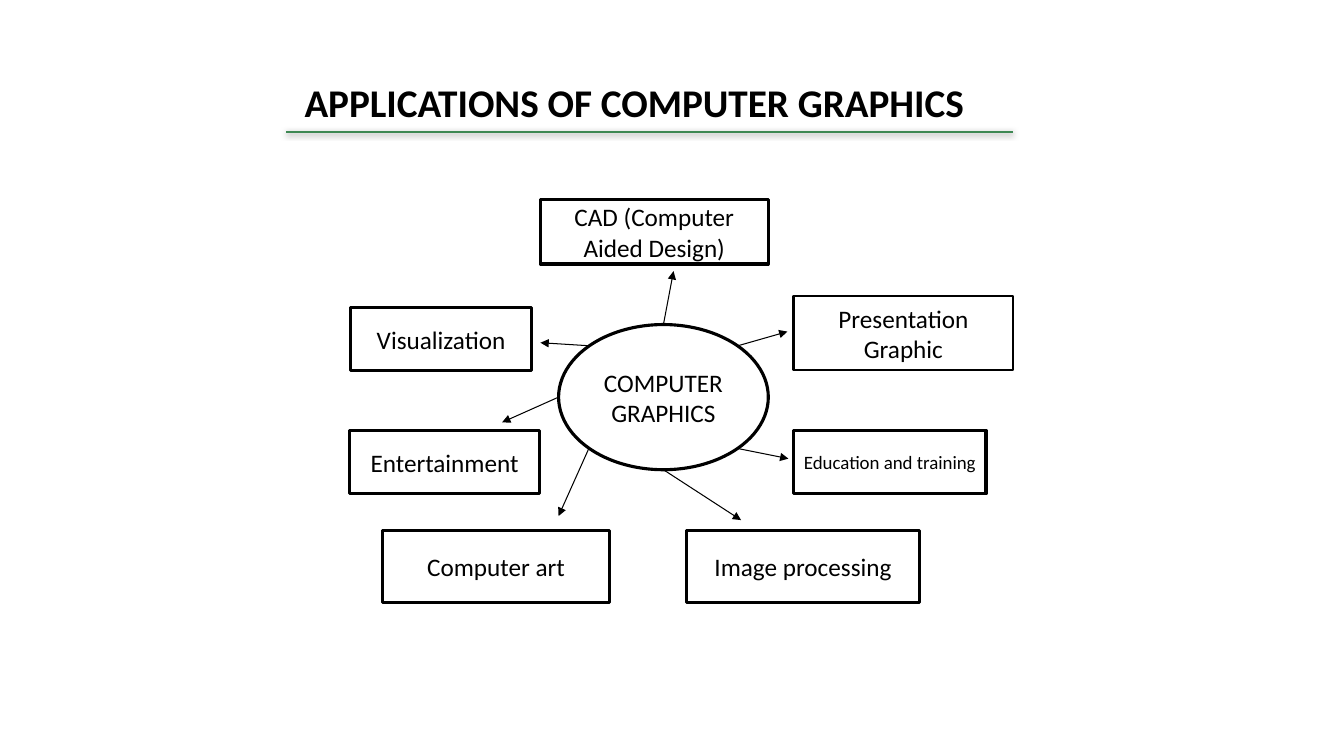
import math

import pptx
import pptx.dml.color
import pptx.enum.shapes
import pptx.enum.text
import pptx.oxml
import pptx.oxml.ns
import pptx.util

PX = 9144  # 100 px to the inch
FONT = "Calibri"
BLACK = "000000"
GREEN = "3E8853"
HUB = (554, 322, 208, 144)

# label, box, line width, text size
TOPICS = [
    ("CAD (Computer Aided Design)", (536, 198, 226, 64), 2.25, 18),
    ("Presentation Graphic", (787, 294, 218, 73), 1.5, 18),
    ("Education and training", (787, 427, 191, 63), 2.25, 13.5),
    ("Image processing", (681, 526, 231, 72), 2.25, 18),
    ("Computer art", (379, 526, 226, 72), 2.25, 18),
    ("Entertainment", (347, 427, 188, 63), 2.25, 18),
    ("Visualization", (348, 305, 179, 63), 2.25, 18),
]

# degrees clockwise from the right of the hub, arrow tip
RAYS = [
    (-90, (668, 269)),
    (-45, (781, 329)),
    (45, (782, 455)),
    (90, (735, 516)),
    (135, (554, 512)),
    (180, (498, 419)),
    (225, (536, 340)),
]


def emu(*sizes):
    return [pptx.util.Emu(size * PX) for size in sizes]


def color(code):
    return pptx.dml.color.RGBColor.from_string(code)


def style(frame, size, align, bold=False):
    for para in frame.paragraphs:
        para.alignment = align
        for run in para.runs:
            run.font.name = FONT
            run.font.size = pptx.util.Pt(size)
            run.font.bold = bold
            run.font.color.rgb = color(BLACK)


def add_title(slide, text, box):
    title = slide.shapes.title
    title.left, title.top, title.width, title.height = emu(*box)
    frame = title.text_frame
    frame.text = text
    frame.word_wrap = True
    frame.auto_size = pptx.enum.text.MSO_AUTO_SIZE.SHAPE_TO_FIT_TEXT
    frame.vertical_anchor = pptx.enum.text.MSO_ANCHOR.TOP
    style(frame, 28, pptx.enum.text.PP_ALIGN.LEFT, True)


def add_node(slide, kind, text, box, weight, size):
    node = slide.shapes.add_shape(kind, *emu(*box))
    node.shadow.inherit = False
    node.fill.background()
    node.line.color.rgb = color(BLACK)
    node.line.width = pptx.util.Pt(weight)
    frame = node.text_frame
    frame.text = text
    frame.word_wrap = True
    frame.margin_left, frame.margin_right = emu(8, 8)
    frame.vertical_anchor = pptx.enum.text.MSO_ANCHOR.MIDDLE
    style(frame, size, pptx.enum.text.PP_ALIGN.CENTER)


def add_line(slide, start, end, code, weight):
    """Draw a straight line and return it with its empty effect list."""
    line = slide.shapes.add_connector(
        pptx.enum.shapes.MSO_CONNECTOR.STRAIGHT, *emu(*start, *end))
    line.line.color.rgb = color(code)
    line.line.width = pptx.util.Pt(weight)
    effects = pptx.oxml.parse_xml(
        f"<a:effectLst {pptx.oxml.ns.nsdecls('a')}/>")
    line._element.spPr.append(effects)
    return line, effects


def add_arrow(slide, start, end):
    line, _ = add_line(slide, start, end, BLACK, 0.75)
    line.line._get_or_add_ln().append(pptx.oxml.parse_xml(
        f"<a:tailEnd {pptx.oxml.ns.nsdecls('a')} type='triangle'/>"))


def add_rule(slide, start, end):
    """Draw the green line with a soft shadow below it."""
    _, effects = add_line(slide, start, end, GREEN, 1.5)
    effects.append(pptx.oxml.parse_xml(
        f"<a:outerShdw {pptx.oxml.ns.nsdecls('a')} blurRad='50800'"
        " dist='12700' dir='5400000' rotWithShape='0'>"
        f"<a:srgbClr val='{BLACK}'><a:alpha val='50000'/></a:srgbClr>"
        "</a:outerShdw>"))


def rim(angle):
    """Return the point of the hub's edge at an angle."""
    left, top, width, height = HUB
    turn = math.radians(angle)
    return (round(left + width / 2 * (1 + math.cos(turn))),
            round(top + height / 2 * (1 + math.sin(turn))))


def main():
    deck = pptx.Presentation()
    deck.slide_width, deck.slide_height = emu(1333, 750)
    slide = deck.slides.add_slide(deck.slide_layouts[5])
    kinds = pptx.enum.shapes.MSO_SHAPE

    add_title(slide, "APPLICATIONS OF COMPUTER GRAPHICS", (292, 73, 713, 57))
    add_node(slide, kinds.OVAL, "COMPUTER GRAPHICS", HUB, 2.25, 18)
    for topic in TOPICS:
        add_node(slide, kinds.RECTANGLE, *topic)
    for angle, tip in RAYS:
        add_arrow(slide, rim(angle), tip)
    add_rule(slide, (284, 131), (1005, 131))

    deck.save("out.pptx")


if __name__ == "__main__":
    main()
